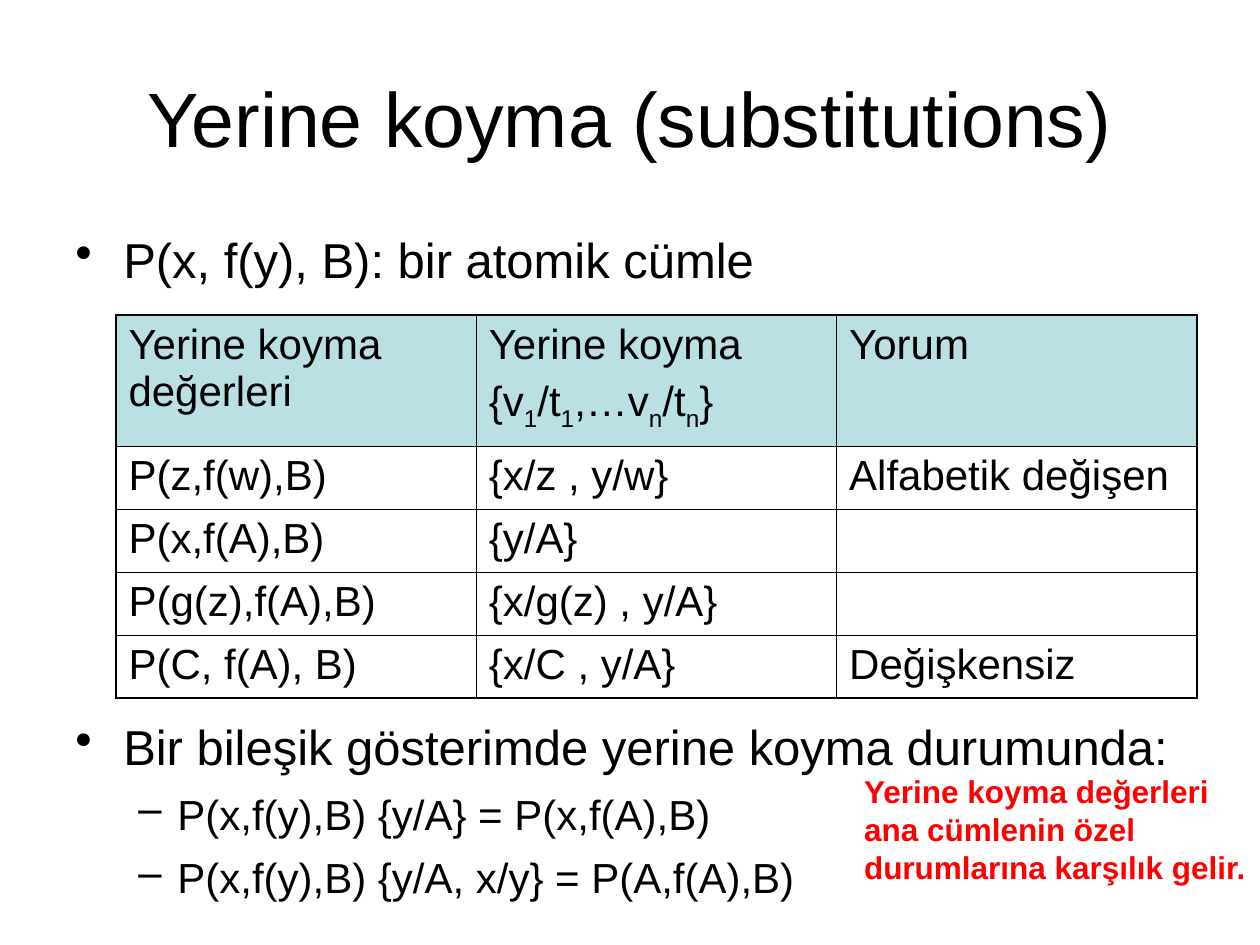
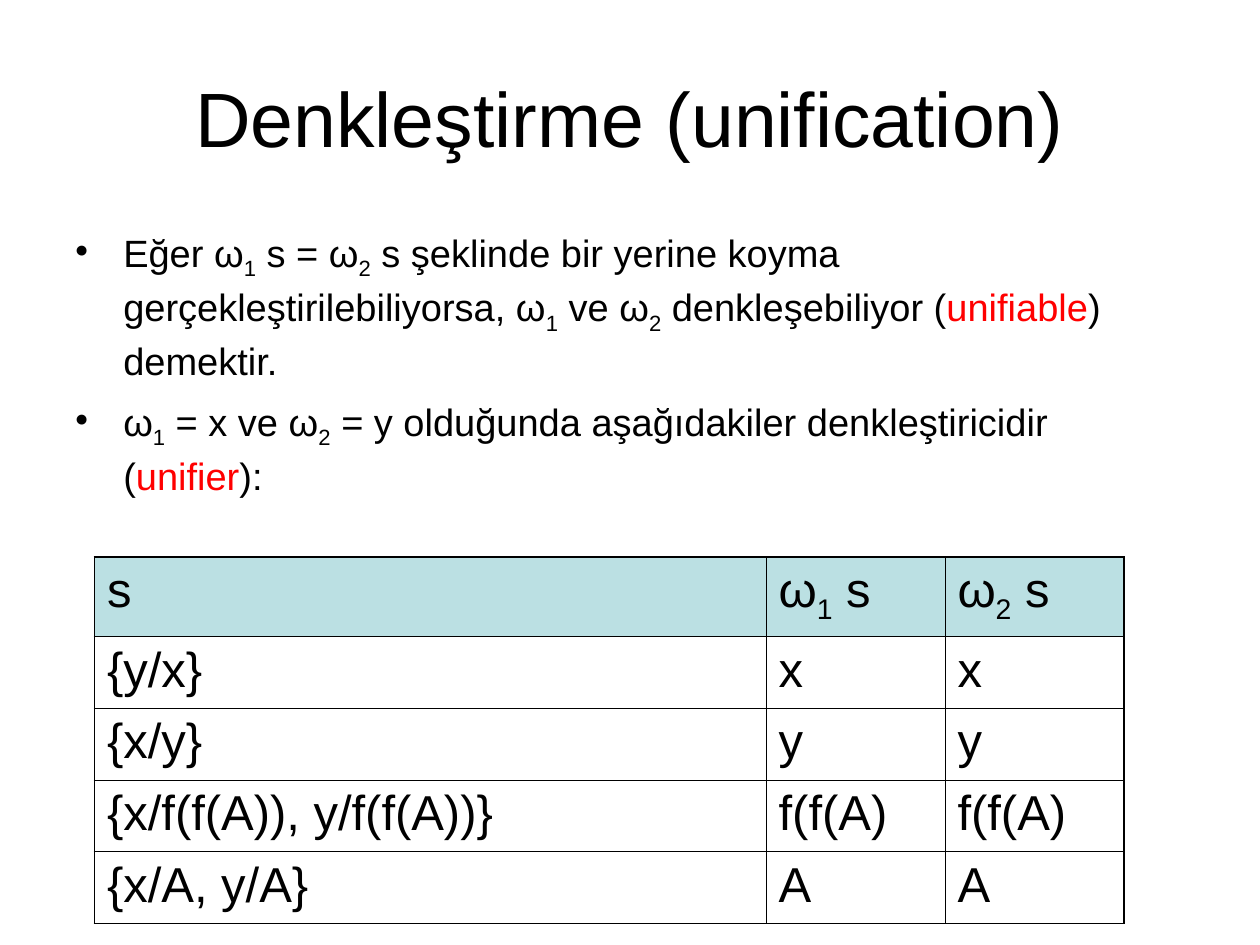
from dataclasses import dataclass

from pptx import Presentation
from pptx import oxml
from pptx import util as u
from pptx.dml.color import RGBColor
from pptx.enum import text as t
from pptx.oxml import ns


@dataclass(frozen=True)
class Theme:
    font: str = "Arial"
    ink: str = "000000"
    accent: str = "FF0000"
    header: str = "BBE0E3"
    title: float = 44
    note: float = 18
    line_spacing: float = 1.05
    outer_line: float = 1.08
    inner_line: float = 0.45


THEME = Theme()

# Content. Pieces between bars: "_" marks a subscript, "!" the accent colour.
# Each point: level, size, space before, text.
SUBSTITUTION = {
    "title": "Yerine koyma (substitutions)",
    "points_at": (0.5, 1.75, 8.92, 5.5),
    "points": [
        (0, 28, 0, "P(x, f(y), B): bir atomik cümle"),
        (0, 28, 243, "Bir bileşik gösterimde yerine koyma durumunda:"),
        (1, 24, 6, "P(x,f(y),B) {y/A} = P(x,f(A),B)"),
        (1, 24, 6, "P(x,f(y),B) {y/A, x/y} = P(A,f(A),B)"),
    ],
    "table_at": (0.92, 2.5),
    "columns": [2.86] * 3,
    "heights": [1.04] + [0.48 + 0.02] * 4,
    "table_size": 24,
    "table": [
        ("Yerine koyma değerleri",
         "Yerine koyma\n{v|_1|/t|_1|,…v|_n|/t|_n|}", "Yorum"),
        ("P(z,f(w),B)", "{x/z , y/w}", "Alfabetik değişen"),
        ("P(x,f(A),B)", "{y/A}", ""),
        ("P(g(z),f(A),B)", "{x/g(z) , y/A}", ""),
        ("P(C, f(A), B)", "{x/C , y/A}", "Değişkensiz"),
    ],
    "note_at": (6.76, 6.08, 3.24, 1),
    "note": ["Yerine koyma değerleri", "ana cümlenin özel",
             "durumlarına karşılık gelir."],
}
UNIFICATION = {
    "title": "Denkleştirme (unification)",
    "points_at": (0.5, 1.75, 9.08, 2.25),
    "points": [
        (0, 21.7, 0, "Eğer ω|_1| s = ω|_2| s şeklinde bir yerine koyma "
         "gerçekleştirilebiliyorsa, ω|_1| ve ω|_2| denkleşebiliyor "
         "(|!unifiable|) demektir."),
        (0, 21.7, 7, "ω|_1| = x ve ω|_2| = y olduğunda aşağıdakiler "
         "denkleştiricidir (|!unifier|):"),
    ],
    "table_at": (0.75, 4.42),
    "columns": [5.33, 1.42, 1.42],
    "heights": [0.63] + [0.57] * 4,
    "table_size": 28,
    "table": [
        ("s", "ω|_1| s", "ω|_2| s"),
        ("{y/x}", "x", "x"),
        ("{x/y}", "y", "y"),
        ("{x/f(f(A)), y/f(f(A))}", "f(f(A)", "f(f(A)"),
        ("{x/A, y/A}", "A", "A"),
    ],
}
BULLETS = [("•", 0.38, 0.38), ("–", 0.81, 0.31)]  # sign, margin, hanging
TITLE_AT = (0.5, 0.3, 9, 1.25)


def write(paragraph, marked, size, color=THEME.ink, bold=False):
    font = paragraph.font
    font.name, font.size, font.bold = THEME.font, u.Pt(size), bold
    font.color.rgb = RGBColor.from_string(color)
    for piece in marked.split("|"):
        run = paragraph.add_run()
        run.text = piece.lstrip("_!")
        if piece.startswith("_"):
            run.font._element.set("baseline", "-25000")
        elif piece.startswith("!"):
            run.font.color.rgb = RGBColor.from_string(THEME.accent)


def paragraphs(frame, count):
    return [frame.paragraphs[0]] + [frame.add_paragraph() for _ in range(count - 1)]


def add_box(slide, place, wrap=True):
    frame = slide.shapes.add_textbox(*map(u.Inches, place)).text_frame
    frame.word_wrap = wrap
    return frame


def add_title(slide, title):
    frame = add_box(slide, TITLE_AT)
    frame.vertical_anchor = t.MSO_ANCHOR.MIDDLE
    heading = frame.paragraphs[0]
    heading.alignment = t.PP_ALIGN.CENTER
    write(heading, title, THEME.title)


def add_points(slide, place, points):
    frame = add_box(slide, place)
    for line, (level, size, before, words) in zip(paragraphs(frame, len(points)), points):
        sign, margin, hanging = BULLETS[level]
        props = line._p.get_or_add_pPr()
        props.set("marL", str(u.Inches(margin)))
        props.set("indent", str(-u.Inches(hanging)))
        props.append(oxml.parse_xml(f'<a:buChar {ns.nsdecls("a")} char="{sign}"/>'))
        line.level = level
        line.line_spacing = THEME.line_spacing
        line.space_before = u.Pt(before)
        write(line, words, size)


def add_borders(cell, outer_sides):
    props = cell._tc.get_or_add_tcPr()
    for side in "LRTB":
        width = THEME.outer_line if side in outer_sides else THEME.inner_line
        props.append(oxml.parse_xml(
            f'<a:ln{side} {ns.nsdecls("a")} w="{u.Pt(width)}"><a:solidFill>'
            f'<a:srgbClr val="{THEME.ink}"/></a:solidFill></a:ln{side}>'))


def add_grid(slide, place, columns, heights, rows, size):
    extent = (*place, sum(columns), sum(heights))
    grid = slide.shapes.add_table(len(rows), len(columns), *map(u.Inches, extent)).table
    for column, width in zip(grid.columns, columns):
        column.width = u.Inches(width)
    for row, height in zip(grid.rows, heights):
        row.height = u.Inches(height)
    for r, row in enumerate(rows):
        for c, words in enumerate(row):
            cell = grid.cell(r, c)
            edges = {"L": c == 0, "R": c == len(row) - 1,
                     "T": r == 0, "B": r == len(rows) - 1}
            add_borders(cell, [side for side, outer in edges.items() if outer])
            if r == 0:
                cell.fill.solid()
                cell.fill.fore_color.rgb = RGBColor.from_string(THEME.header)
            else:
                cell.fill.background()
            lines = words.split("\n")
            for i, line in enumerate(paragraphs(cell.text_frame, len(lines))):
                line.space_before = u.Pt(6 if i else 0)
                write(line, lines[i], size)


def add_note(slide, place, lines):
    frame = add_box(slide, place, wrap=False)
    for line, words in zip(paragraphs(frame, len(lines)), lines):
        write(line, words, THEME.note, THEME.accent, bold=True)


def main():
    deck = Presentation()
    deck.slide_width, deck.slide_height = u.Inches(10), u.Inches(7.5)
    for content in (SUBSTITUTION, UNIFICATION):
        slide = deck.slides.add_slide(deck.slide_layouts[6])
        add_title(slide, content["title"])
        add_points(slide, content["points_at"], content["points"])
        add_grid(slide, content["table_at"], content["columns"],
                 content["heights"], content["table"], content["table_size"])
        if "note" in content:
            add_note(slide, content["note_at"], content["note"])
    deck.save("out.pptx")


if __name__ == "__main__":
    main()
